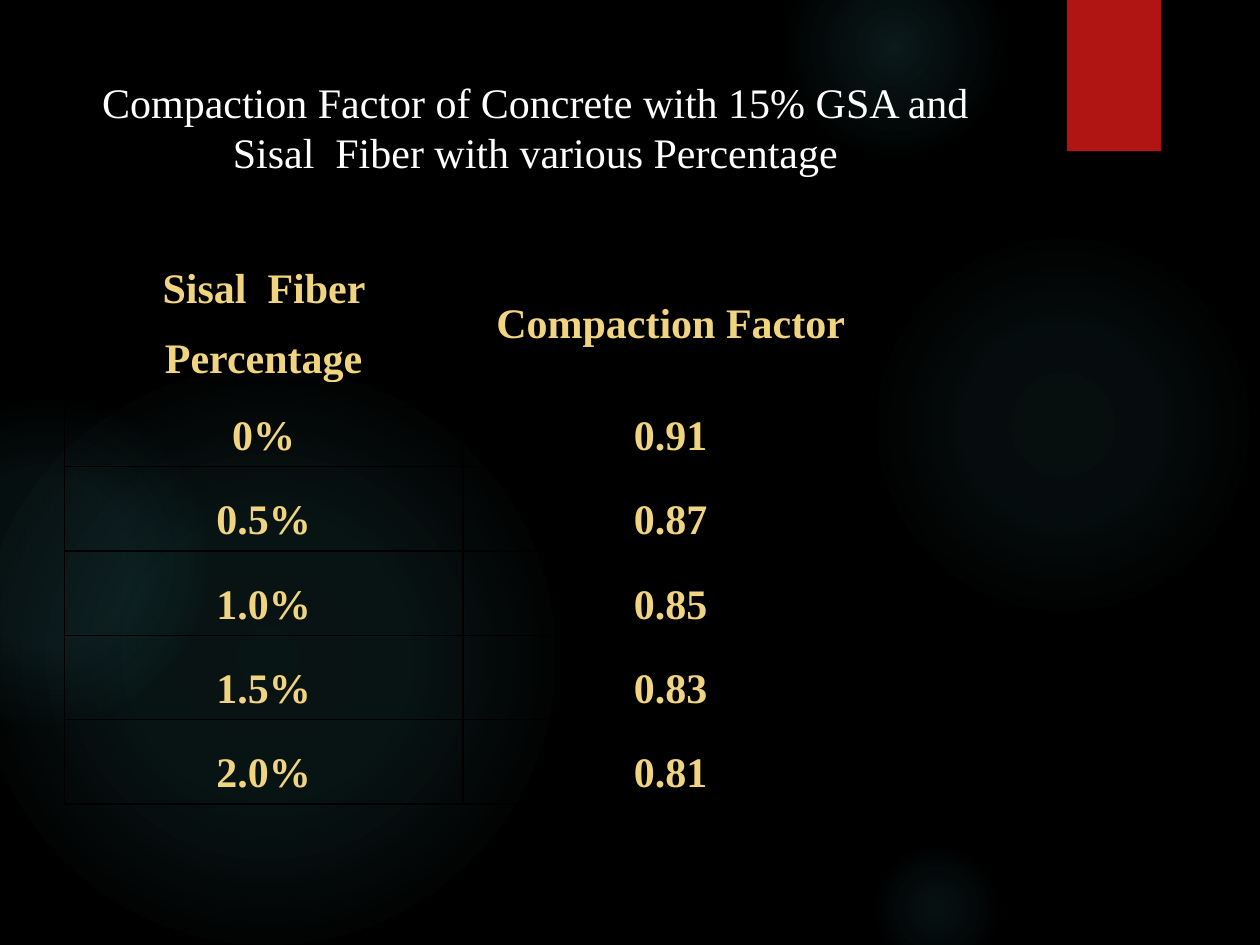
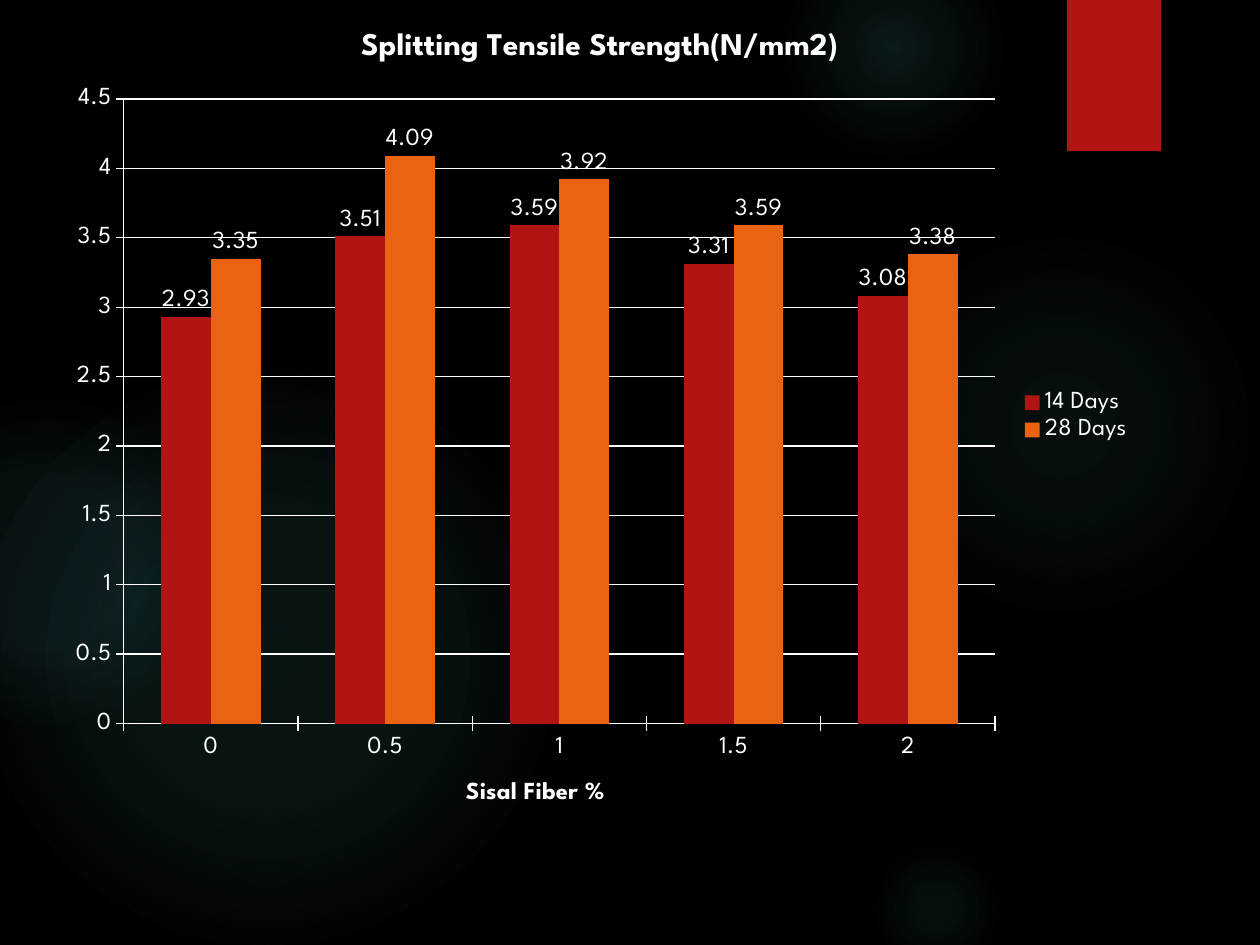
from typing import NamedTuple, Optional

from lxml import etree
from pptx import Presentation
from pptx import util as u
from pptx.chart import data as chart_data
from pptx.dml import color
from pptx.enum import chart as charts
from pptx.enum import shapes, text
from pptx.oxml import ns

COLORS = {
    "black": "000000",
    "white": "FFFFFF",
    "glow": "50B9C1",
    "red": "B01513",
    "orange": "EA6312",
    "gold": "F0D47F",
}
SERIF = "Times New Roman"
SANS = "League Spartan"


class Glow(NamedTuple):
    """Soft circle: place in cm, and (position, alpha) stops in percent."""
    left: float
    top: float
    diameter: float
    stops: tuple


class Series(NamedTuple):
    name: str
    values: tuple
    color: str


GLOWS = (
    Glow(17.5, 4.65, 7.82, ((0, 7), (36, 6), (69, 0))),
    Glow(15.8, -1.27, 4.45, ((0, 14), (36, 7), (73, 0))),
    Glow(17.5, 16.94, 2.74, ((0, 9), (36, 5), (66, 0))),
    Glow(-0.43, 7.42, 11.63, ((0, 11), (36, 10), (75, 0))),
    Glow(-2.34, 8.05, 6.55, ((0, 8), (36, 8), (72, 0))),
)
COMPACTION_ROWS = (
    ("Sisal  Fiber Percentage", "Compaction Factor"),
    ("0%", "0.91"),
    ("0.5%", "0.87"),
    ("1.0%", "0.85"),
    ("1.5%", "0.83"),
    ("2.0%", "0.81"),
)
FIBER_PERCENTAGES = ("0", "0.5", "1", "1.5", "2")
STRENGTHS = (
    Series("14 Days", (2.93, 3.51, 3.59, 3.31, 3.08), "red"),
    Series("28 Days", (3.35, 4.09, 3.92, 3.59, 3.38), "orange"),
)


def rgb(name: str) -> color.RGBColor:
    return color.RGBColor.from_string(COLORS[name])


def add_xml(parent, tag: str, **attributes):
    child = etree.SubElement(parent, ns.qn(tag))
    for name, value in attributes.items():
        child.set(name, str(value))
    return child


def add_color(parent, name: str, alpha: int = 100) -> None:
    value = add_xml(parent, "a:srgbClr", val=COLORS[name])
    if alpha < 100:
        add_xml(value, "a:alpha", val=alpha * 1000)


def format_font(font, size: float, name: str = SANS, color_name: str = "white",
                bold: bool = False) -> None:
    font.size = u.Pt(size)
    font.name = name
    font.bold = bold
    font.color.rgb = rgb(color_name)


def write_text(frame, content: str, *, align=text.PP_ALIGN.CENTER,
               line_spacing: Optional[float] = None, **font_format) -> None:
    frame.text = content
    paragraph = frame.paragraphs[0]
    paragraph.alignment = align
    if line_spacing:
        paragraph.line_spacing = line_spacing
    format_font(paragraph.runs[0].font, **font_format)


def add_plain_shape(slide, kind, left: float, top: float, width: float, height: float):
    """Add a shape, placed in cm, without outline or shadow."""
    shape = slide.shapes.add_shape(kind, u.Cm(left), u.Cm(top), u.Cm(width), u.Cm(height))
    shape.line.fill.background()
    shape.shadow.inherit = False
    return shape


def add_glow(slide, glow: Glow) -> None:
    shape = add_plain_shape(slide, shapes.MSO_SHAPE.OVAL, glow.left, glow.top,
                            glow.diameter, glow.diameter)
    gradient = etree.Element(ns.qn("a:gradFill"))
    stops = add_xml(gradient, "a:gsLst")
    for position, alpha in glow.stops:
        add_color(add_xml(stops, "a:gs", pos=position * 1000), "glow", alpha)
    center = add_xml(gradient, "a:path", path="circle")
    add_xml(center, "a:fillToRect", l=50000, t=50000, r=50000, b=50000)
    shape.element.spPr.find(ns.qn("a:prstGeom")).addnext(gradient)


def add_bookmark(slide) -> None:
    shape = add_plain_shape(slide, shapes.MSO_SHAPE.RECTANGLE, 21.51, 0, 1.9, 3.05)
    shape.fill.solid()
    shape.fill.fore_color.rgb = rgb("red")
    effects = shape.element.spPr.find(ns.qn("a:effectLst"))
    shadow = add_xml(effects, "a:outerShdw", blurRad=u.Pt(3), dist=u.Pt(2),
                     dir=5400000, rotWithShape=0)
    add_color(shadow, "black", 45)


def add_decorated_slide(presentation, layout_name: str):
    layout = presentation.slide_layouts.get_by_name(layout_name)
    slide = presentation.slides.add_slide(layout)
    for glow in GLOWS:
        add_glow(slide, glow)
    add_bookmark(slide)
    return slide


def set_title(slide, content: str) -> None:
    """Fill the title placeholder and bring it in front of the decoration."""
    title = slide.shapes.title
    title.left, title.top = u.Cm(0.89), u.Cm(1.4)
    title.width, title.height = u.Cm(19.81), u.Cm(2.31)
    frame = title.text_frame
    frame.word_wrap = True
    frame.auto_size = text.MSO_AUTO_SIZE.SHAPE_TO_FIT_TEXT
    frame.vertical_anchor = text.MSO_ANCHOR.MIDDLE
    write_text(frame, content, size=24, name=SERIF)
    title.element.getparent().append(title.element)


def format_cell(cell, content: str) -> None:
    cell.margin_left = cell.margin_right = u.Cm(0.18)
    cell.margin_top = cell.margin_bottom = 0
    cell.vertical_anchor = text.MSO_ANCHOR.MIDDLE
    write_text(cell.text_frame, content, line_spacing=1.5, size=24, name=SERIF,
               color_name="gold", bold=True)
    properties = cell.text_frame._txBody.getparent().get_or_add_tcPr()
    for side in ("a:lnL", "a:lnR", "a:lnT", "a:lnB"):
        border = add_xml(properties, side, w=u.Pt(1))
        add_color(add_xml(border, "a:solidFill"), "black")
    cell.fill.background()


def add_compaction_table(slide) -> None:
    widths = (8.03, 8.38)
    heights = (2.79,) + (1.7,) * (len(COMPACTION_ROWS) - 1)
    table = slide.shapes.add_table(len(heights), len(widths), u.Cm(1.3), u.Cm(4.9),
                                   u.Cm(sum(widths)), u.Cm(sum(heights))).table
    table.first_row = table.horz_banding = False
    for column, width in zip(table.columns, widths):
        column.width = u.Cm(width)
    for row, height, contents in zip(table.rows, heights, COMPACTION_ROWS):
        row.height = u.Cm(height)
        for cell, content in zip(row.cells, contents):
            format_cell(cell, content)


def format_line(line) -> None:
    line.color.rgb = rgb("white")
    line.width = u.Pt(0.75)


def format_axis(axis) -> None:
    axis.major_tick_mark = charts.XL_TICK_MARK.CROSS
    axis.minor_tick_mark = charts.XL_TICK_MARK.NONE
    format_font(axis.tick_labels.font, 14)
    format_line(axis.format.line)


def add_strength_chart(slide) -> None:
    data = chart_data.CategoryChartData()
    data.categories = FIBER_PERCENTAGES
    for strength in STRENGTHS:
        data.add_series(strength.name, strength.values)
    chart = slide.shapes.add_chart(charts.XL_CHART_TYPE.COLUMN_CLUSTERED, u.Cm(1.09), 0,
                                   u.Cm(22), u.Cm(16.79), data).chart
    format_font(chart.font, 10)
    chart.has_title = True
    write_text(chart.chart_title.text_frame, "Splitting Tensile Strength(N/mm2)",
               size=18, bold=True)
    chart.chart_title.include_in_layout = False

    chart.has_legend = True
    chart.legend.position = charts.XL_LEGEND_POSITION.RIGHT
    chart.legend.include_in_layout = False
    format_font(chart.legend.font, 14)

    category_axis, value_axis = chart.category_axis, chart.value_axis
    format_axis(category_axis)
    write_text(category_axis.axis_title.text_frame, "Sisal Fiber %", size=14, bold=True)
    format_axis(value_axis)
    value_axis.minimum_scale, value_axis.maximum_scale = 0, 4.5
    value_axis.major_unit = 0.5
    value_axis.has_major_gridlines = True
    format_line(value_axis.major_gridlines.format.line)

    plot = chart.plots[0]
    plot.vary_by_categories = False
    plot.gap_width, plot.overlap = 150, 0
    for series, strength in zip(plot.series, STRENGTHS):
        series.format.fill.solid()
        series.format.fill.fore_color.rgb = rgb(strength.color)
        labels = series.data_labels
        labels.show_value = True
        labels.position = charts.XL_LABEL_POSITION.OUTSIDE_END
        format_font(labels.font, 14)


def main() -> None:
    presentation = Presentation()
    presentation.slide_width, presentation.slide_height = u.Cm(25.4), u.Cm(19.05)
    background = presentation.slide_master.background.fill
    background.solid()
    background.fore_color.rgb = rgb("black")

    compaction_slide = add_decorated_slide(presentation, "Title Only")
    add_compaction_table(compaction_slide)
    set_title(compaction_slide, "Compaction Factor of Concrete with 15% GSA and "
                                "Sisal  Fiber with various Percentage")
    add_strength_chart(add_decorated_slide(presentation, "Blank"))
    presentation.save("out.pptx")


if __name__ == "__main__":
    main()
